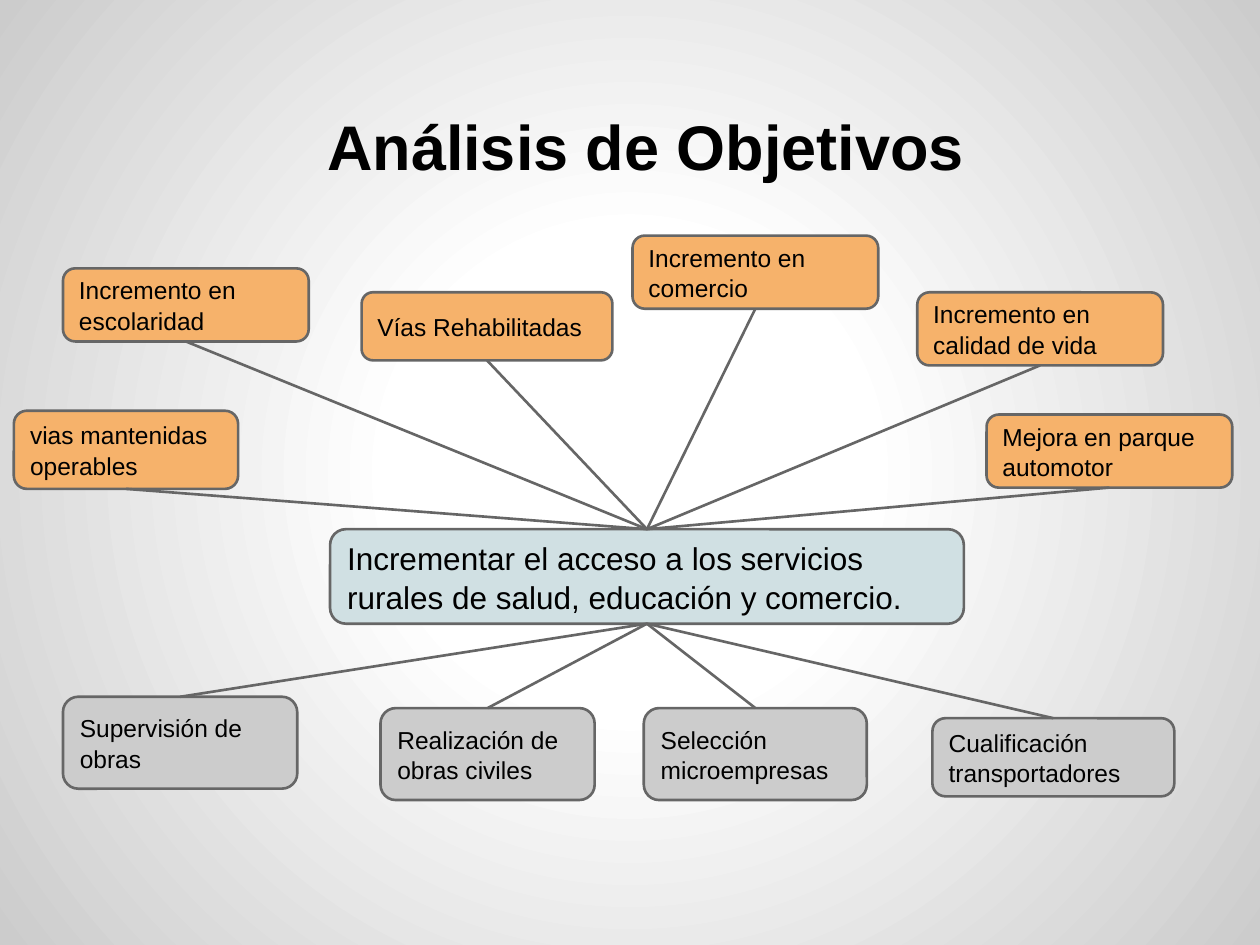
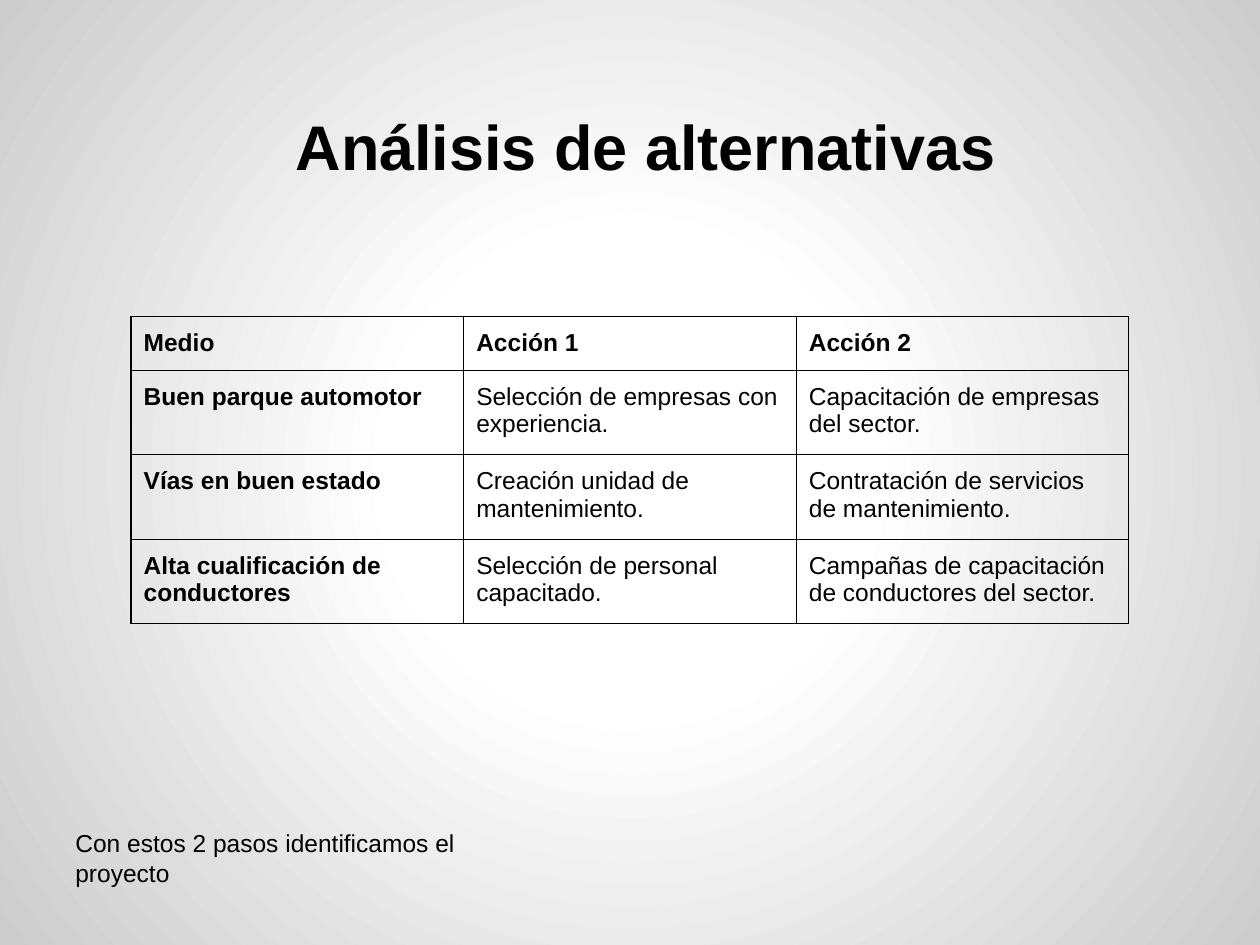
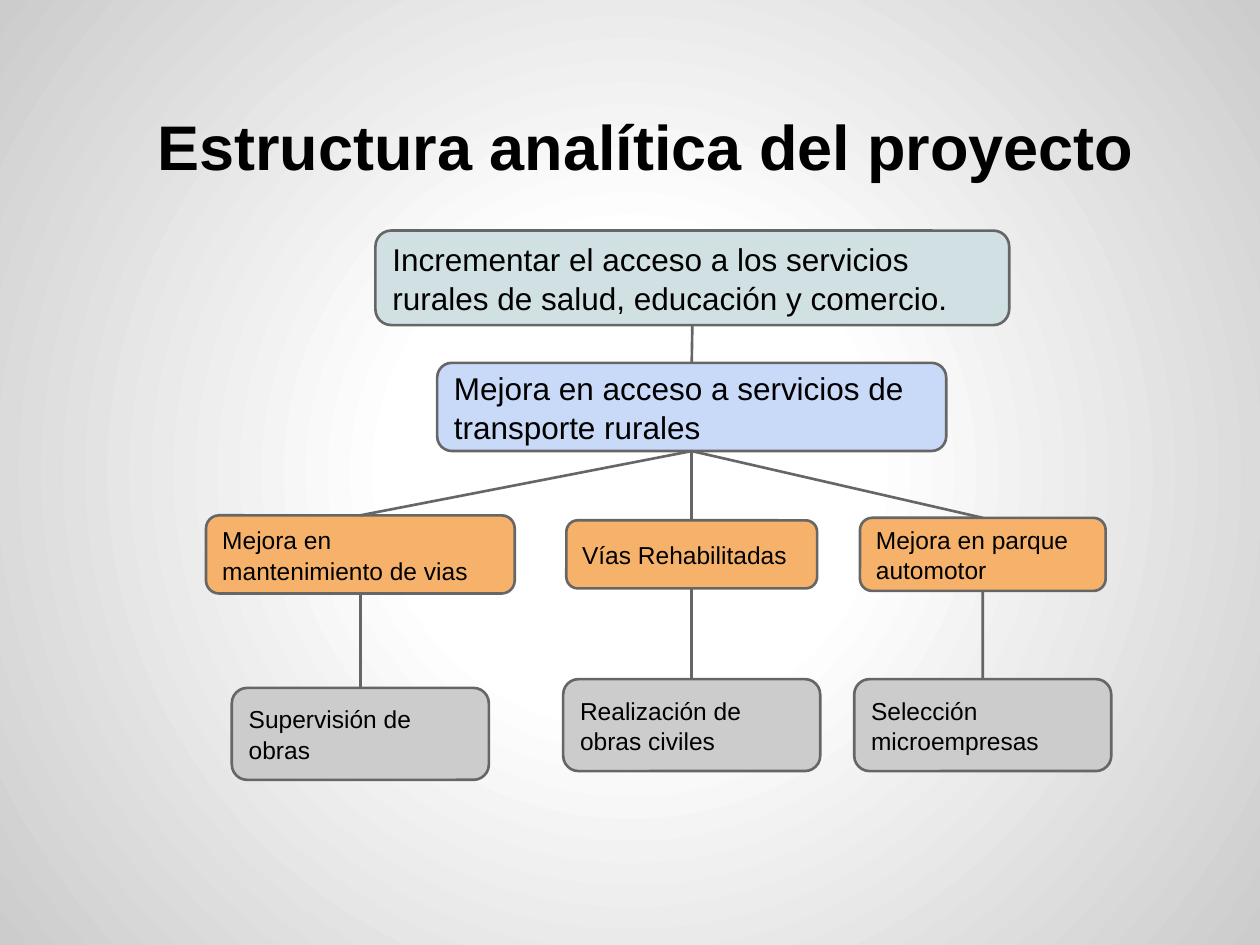
import pptx
import pptx.util
import pptx.dml.color
import pptx.enum.shapes
import pptx.enum.text
import pptx.oxml
import pptx.oxml.ns

Inches, Pt, qn = pptx.util.Inches, pptx.util.Pt, pptx.oxml.ns.qn
ANCHOR = pptx.enum.text.MSO_ANCHOR
ALIGN = pptx.enum.text.PP_ALIGN
NS = 'xmlns:a="http://schemas.openxmlformats.org/drawingml/2006/main"'

# Shared look
FONT, INK, LINE = "Arial", "000000", "666666"
ORANGE, TEAL, BLUE, GRAY = "F6B26B", "D0E0E3", "C9DAF8", "CCCCCC"
GOAL = "Incrementar el acceso a los servicios rurales de salud, educación y comercio."
texts = []  # frame, size, bold, line spacing
links = []  # slide, upper box, lower box


def tone(code):
    return pptx.dml.color.RGBColor.from_string(code)


def box(slide, text, fill, left, top, width, height, size=14):
    shape = slide.shapes.add_shape(
        pptx.enum.shapes.MSO_SHAPE.ROUNDED_RECTANGLE,
        Inches(left), Inches(top), Inches(width), Inches(height))
    shape.shadow.inherit = False
    shape.fill.solid()
    shape.fill.fore_color.rgb = tone(fill)
    shape.line.color.rgb = tone(LINE)
    shape.line.width = Pt(1.5)
    frame = shape.text_frame
    frame.text = text
    frame.vertical_anchor = ANCHOR.MIDDLE
    frame.paragraphs[0].alignment = ALIGN.LEFT
    texts.append((frame, size, False, 1.04))
    return shape


deck = pptx.Presentation()
deck.slide_width, deck.slide_height = Inches(10), Inches(7.5)

# Radial background on the master
master = deck.slide_master
master.background.fill.solid()
back = master.element.find(".//" + qn("p:bgPr"))
stops = "".join(f'<a:gs pos="{at * 1000}"><a:srgbClr val="{code}"/></a:gs>'
                for at, code in ((0, "FFFFFF"), (30, "FFFFFF"), (100, GRAY)))
back.replace(back[0], pptx.oxml.parse_xml(
    f'<a:gradFill {NS} rotWithShape="1"><a:gsLst>{stops}</a:gsLst><a:path path="circle">'
    '<a:fillToRect l="50000" t="50000" r="50000" b="50000"/></a:path></a:gradFill>'))

# Slides and titles
slides = []
for text in ("Análisis de Objetivos", "Análisis de alternativas",
             "Estructura analítica del proyecto"):
    slide = deck.slides.add_slide(deck.slide_layouts[5])
    title = slide.shapes.title
    title.left, title.top = Inches(0.5), Inches(0.3)
    title.width, title.height = Inches(9), Inches(1.25)
    frame = title.text_frame
    frame.text = text
    frame.auto_size = pptx.enum.text.MSO_AUTO_SIZE.NONE
    frame.vertical_anchor = ANCHOR.BOTTOM
    frame.paragraphs[0].alignment = ALIGN.CENTER
    frame.paragraphs[0]._p.get_or_add_pPr().set("indent", str(Inches(0.25)))
    texts.append((frame, 36, True, 1))
    slides.append(slide)
goals, options, tree = slides

# Slide 1: ends above the goal, means below it
hub = box(goals, GOAL, TEAL, 2.62, 4.2, 5.03, 0.75, 18)
for text, *place in (
        ("vias mantenidas operables", 0.11, 3.26, 1.78, 0.62),
        ("Incremento en escolaridad", 0.5, 2.13, 1.95, 0.58),
        ("Vías Rehabilitadas", 2.87, 2.32, 1.99, 0.54),
        ("Incremento en comercio", 5.02, 1.87, 1.95, 0.58),
        ("Incremento en calidad de vida", 7.28, 2.32, 1.95, 0.58),
        ("Mejora en parque automotor", 7.83, 3.29, 1.95, 0.58)):
    links.append((goals, box(goals, text, ORANGE, *place), hub))
for text, *place in (
        ("Supervisión de obras", 0.5, 5.53, 1.86, 0.73),
        ("Realización de obras civiles", 3.02, 5.62, 1.7, 0.73),
        ("Selección microempresas", 5.11, 5.62, 1.77, 0.73),
        ("Cualificación transportadores", 7.4, 5.7, 1.92, 0.62)):
    links.append((goals, hub, box(goals, text, GRAY, *place)))

# Slide 2: table of actions
rows = (
    ("Medio", "Acción 1", "Acción 2"),
    ("Buen parque automotor", "Selección de empresas con experiencia.",
     "Capacitación de empresas del sector."),
    ("Vías en buen estado", "Creación unidad de mantenimiento.",
     "Contratación de servicios de mantenimiento."),
    ("Alta cualificación de conductores", "Selección de personal capacitado.",
     "Campañas de capacitación de conductores del sector."))
table = options.shapes.add_table(4, 3, Inches(1.04), Inches(2.51),
                                 Inches(7.92), Inches(2.44)).table
table.first_row = table.horz_banding = False
for col in table.columns:
    col.width = Inches(2.64)
for r, row in enumerate(rows):
    table.rows[r].height = Inches(0.67 if r else 0.43)
    for c, text in enumerate(row):
        cell = table.cell(r, c)
        cell.text = text
        cell.margin_left = cell.margin_right = Inches(0.1)
        cell.margin_top = cell.margin_bottom = Inches(0.1)
        props = cell._tc.get_or_add_tcPr()
        for side in ("lnL", "lnR", "lnT", "lnB"):
            props.append(pptx.oxml.parse_xml(
                f'<a:{side} {NS} w="{Pt(0.75)}"><a:solidFill>'
                f'<a:srgbClr val="{INK}"/></a:solidFill></a:{side}>'))
        cell.fill.background()
        texts.append((cell.text_frame, 14, r == 0 or c == 0, 1))

# Slide 2: closing note
note = options.shapes.add_textbox(Inches(0.5), Inches(6.46), Inches(4), Inches(0.5))
note.text_frame.text = "Con estos 2 pasos identificamos el proyecto"
texts.append((note.text_frame, 14, False, 1.04))

# Slide 3: goal, purpose, then three branches
goal = box(tree, GOAL, TEAL, 2.98, 1.83, 5.03, 0.75, 18)
aim = box(tree, "Mejora en acceso a servicios de transporte rurales",
          BLUE, 3.47, 2.88, 4.04, 0.7, 18)
links.append((tree, goal, aim))
for mid, part, width, height, task, top in (
        (2.86, "Mejora en mantenimiento de vias", 2.45, 0.62, "Supervisión de obras", 5.46),
        (5.49, "Vías Rehabilitadas", 1.99, 0.54, "Realización de obras civiles", 5.39),
        (7.8, "Mejora en parque automotor", 1.95, 0.58, "Selección microempresas", 5.39)):
    upper = box(tree, part, ORANGE, mid - width / 2, 4.4 - height / 2, width, height)
    lower = box(tree, task, GRAY, mid - 1.02, top, 2.04, 0.73)
    links += [(tree, aim, upper), (tree, upper, lower)]

# Lines from bottom centre to top centre
for slide, upper, lower in links:
    link = slide.shapes.add_connector(pptx.enum.shapes.MSO_CONNECTOR.STRAIGHT, 0, 0, 0, 0)
    link.begin_connect(upper, 2)
    link.end_connect(lower, 0)
    link.line.color.rgb = tone(LINE)
    link.line.width = Pt(1.5)
    link._element.spPr.append(pptx.oxml.parse_xml(f"<a:effectLst {NS}/>"))

# Type
for frame, size, bold, space in texts:
    frame.word_wrap = True
    frame.margin_left = frame.margin_right = Inches(0.1)
    frame.margin_top = frame.margin_bottom = Inches(0.1)
    para = frame.paragraphs[0]
    para.line_spacing = space
    para.font.name, para.font.size, para.font.bold = FONT, Pt(size), bold
    para.font.color.rgb = tone(INK)

deck.save("out.pptx")
